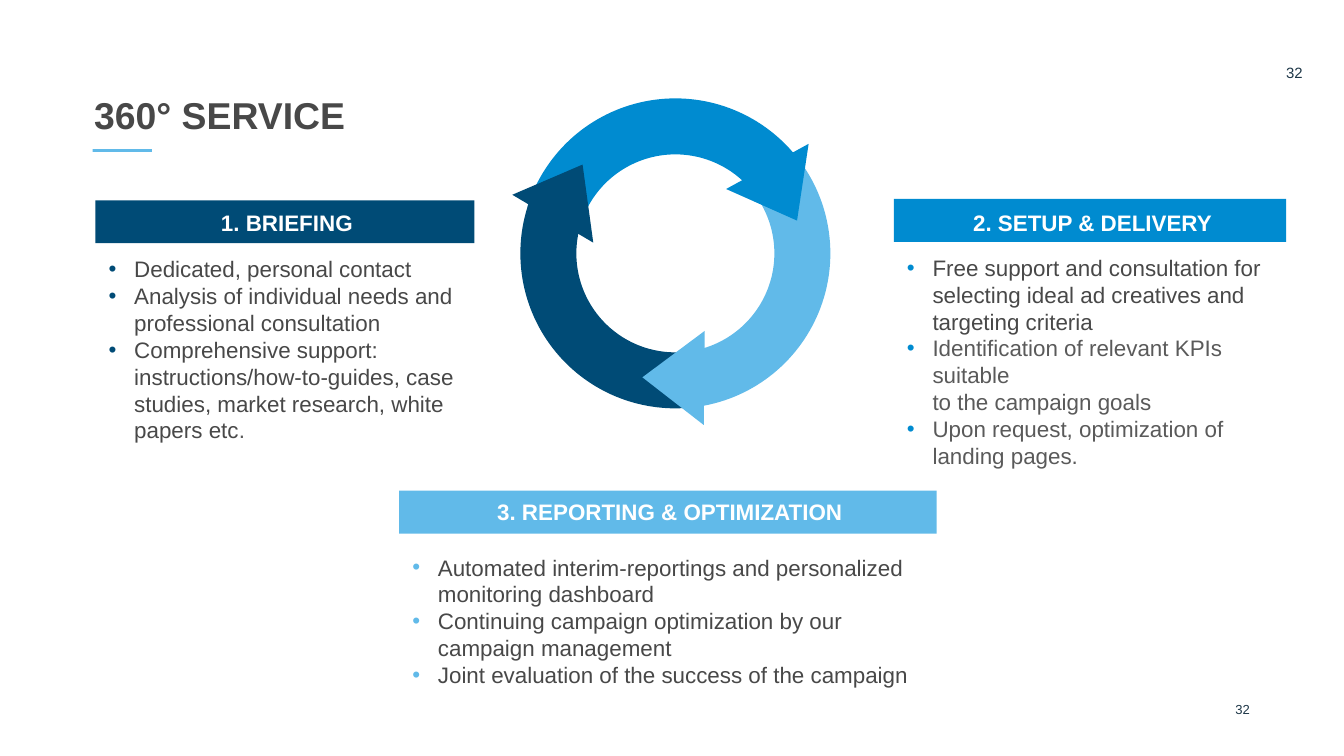
from copy import deepcopy

from lxml import etree
from pptx import Presentation
from pptx import util as u
from pptx.dml.color import RGBColor
from pptx.enum import shapes, text
from pptx.oxml.ns import qn

COLORS = {
    "navy": "004B76", "blue": "008BD0", "sky": "61BAE9", "white": "FFFFFF",
    "dark": "484848", "gray": "5A5A5A", "number": "1D3647",
}
SHAPE = shapes.MSO_SHAPE
ALIGN = text.PP_ALIGN
ANCHOR = text.MSO_ANCHOR
INDENT = u.Inches(0.19)
SLIDE_WIDTH = 10
SLIDE_HEIGHT = SLIDE_WIDTH * 9 / 16

# Bar box, label box, label wraps, body box, colour, label, bullet items
SECTIONS = [
    ((0.71, 1.49, 2.82, 0.32), (1.41, 1.51, 1.45, 0.3), False,
     (0.71, 1.87, 2.82, 1.34), "navy", "1. BRIEFING", [
         [("Dedicated, personal contact", "dark")],
         [("Analysis of individual needs and professional consultation", "dark")],
         [("Comprehensive support: instructions/how-to-guides, case studies, "
           "market research, white papers etc", "dark"), (".", "gray")]]),
    ((6.65, 1.48, 2.92, 0.32), (7.13, 1.51, 2, 0.3), False,
     (6.65, 1.86, 2.92, 1.56), "blue", "2. SETUP & DELIVERY", [
         [("Free support and consultation for selecting ideal ad creatives "
           "and targeting criteria", "dark")],
         [("Identification of relevant KPIs suitable \nto the campaign goals", "gray")],
         [("Upon request, optimization of landing pages.", "gray")]]),
    ((2.97, 3.65, 4, 0.32), (3, 3.66, 3.97, 0.3), True,
     (2.97, 4.09, 4, 1.34), "sky", "3. REPORTING & OPTIMIZATION", [
         [("Automated interim-reportings and personalized monitoring dashboard", "dark")],
         [("Continuing campaign optimization by our campaign management", "dark")],
         [("Joint evaluation of the success of the campaign", "dark")]]),
]

# Colour, rotation, start and end adjustments
ARCS = [
    ("blue", 345, 127.44, 203.42),
    ("navy", 225, 131.25, 200.43),
    ("sky", 105, 130.1, 204.38),
]
# Colour, left, top, rotation, apex position
ARROWHEADS = [
    ("navy", 3.88, 1.2, 30.6, 0.48),
    ("sky", 4.66, 2.58, 270.6, 0.5),
    ("blue", 5.47, 1.21, 151.3, 0.5),
]


def rgb(name):
    return RGBColor.from_string(COLORS[name])


def inches(box):
    return [u.Inches(v) for v in box]


def set_attrs(obj, values):
    for name, value in values.items():
        setattr(obj, name, value)


def set_insets(tf, x, y):
    set_attrs(tf, {"margin_left": u.Inches(x), "margin_right": u.Inches(x),
                   "margin_top": u.Inches(y), "margin_bottom": u.Inches(y)})


def add_run(p, words, color, size, bold=False):
    r = p.add_run()
    r.text = words
    set_attrs(r.font, {"name": "Arial", "size": u.Pt(size), "bold": bold})
    r.font.color.rgb = rgb(color)
    return r


def add_shape(parent, kind, box, fill=None):
    sp = parent.add_shape(kind, *inches(box))
    sp.shadow.inherit = False
    if fill:
        sp.fill.solid()
        sp.fill.fore_color.rgb = rgb(fill)
        sp.line.fill.background()
    else:
        sp.fill.background()
    return sp


def add_label(parent, box, words, color, size, bold=False, align=ALIGN.LEFT,
              anchor=ANCHOR.TOP, wrap=True, inset=(0, 0)):
    tf = parent.add_textbox(*inches(box)).text_frame
    set_attrs(tf, {"word_wrap": wrap, "vertical_anchor": anchor})
    set_insets(tf, *inset)
    p = tf.paragraphs[0]
    p.alignment = align
    add_run(p, words, color, size, bold)
    return tf


def add_bullet(p, color):
    pPr = p._p.get_or_add_pPr()
    pPr.set("marL", str(INDENT))
    pPr.set("indent", str(-INDENT))
    clr = etree.SubElement(pPr, qn("a:buClr"))
    etree.SubElement(clr, qn("a:srgbClr"), val=COLORS[color])
    etree.SubElement(pPr, qn("a:buFont"), typeface="Arial")
    etree.SubElement(pPr, qn("a:buChar"), char="•")


def add_body(parent, box, color, items):
    sp = add_shape(parent, SHAPE.RECTANGLE, box, "white")
    clr = sp.fill._xPr.find(".//" + qn("a:srgbClr"))
    etree.SubElement(clr, qn("a:alpha"), val="15000")
    tf = sp.text_frame
    set_attrs(tf, {"word_wrap": True, "vertical_anchor": ANCHOR.TOP})
    set_insets(tf, 0.1, 0.03)
    for i, runs in enumerate(items):
        p = tf.add_paragraph() if i else tf.paragraphs[0]
        p.alignment = ALIGN.LEFT
        add_bullet(p, color)
        for words, run_color in runs:
            for n, line in enumerate(words.split("\n")):
                if n:
                    p.add_line_break()
                    p._p[-1].append(deepcopy(r._r.rPr))
                r = add_run(p, line, run_color, 12)


def add_section(s, bar, label, wrap, body, color, words, items):
    group = s.shapes.add_group_shape().shapes
    add_shape(group, SHAPE.RECTANGLE, bar, color)
    add_body(group, body, color, items)
    tf = add_label(group, label, words, "white", 12, True, ALIGN.CENTER,
                   wrap=wrap, inset=(0.1, 0.05))
    tf.auto_size = text.MSO_AUTO_SIZE.SHAPE_TO_FIT_TEXT


def add_arc(s, color, rotation, start, end):
    sp = add_shape(s.shapes, SHAPE.ARC, (4.08, 0.94, 1.89, 1.89))
    sp.rotation = rotation
    sp.adjustments[0], sp.adjustments[1] = start, end
    sp.line.color.rgb = rgb(color)
    sp.line.width = u.Pt(30)


def add_arrowhead(s, color, left, top, rotation, apex):
    sp = add_shape(s.shapes, SHAPE.ISOSCELES_TRIANGLE, (left, top, 0.7, 0.46), color)
    sp.rotation = rotation
    sp.adjustments[0] = apex


def main():
    prs = Presentation()
    prs.slide_width, prs.slide_height = inches((SLIDE_WIDTH, SLIDE_HEIGHT))
    s = prs.slides.add_slide(prs.slide_layouts[6])

    # Title rule and footer number
    add_shape(s.shapes, SHAPE.RECTANGLE, (0.69, 1.11, 0.44, 0.02), "sky")
    add_label(s.shapes, (8.87, 5.22, 0.43, 0.16), "32", "number", 7, align=ALIGN.RIGHT)

    # Service steps
    for section in SECTIONS:
        add_section(s, *section)

    # Title and top number
    add_label(s.shapes, (0.7, 0.67, 8.62, 0.37), "360° SERVICE", "dark", 20, True,
              anchor=ANCHOR.MIDDLE)
    add_label(s.shapes, (9.57, 0.47, 0.43, 0.16), "32", "number", 8)

    # Cycle ring
    for arc in ARCS:
        add_arc(s, *arc)
    for arrowhead in ARROWHEADS:
        add_arrowhead(s, *arrowhead)

    prs.save("out.pptx")


if __name__ == "__main__":
    main()
